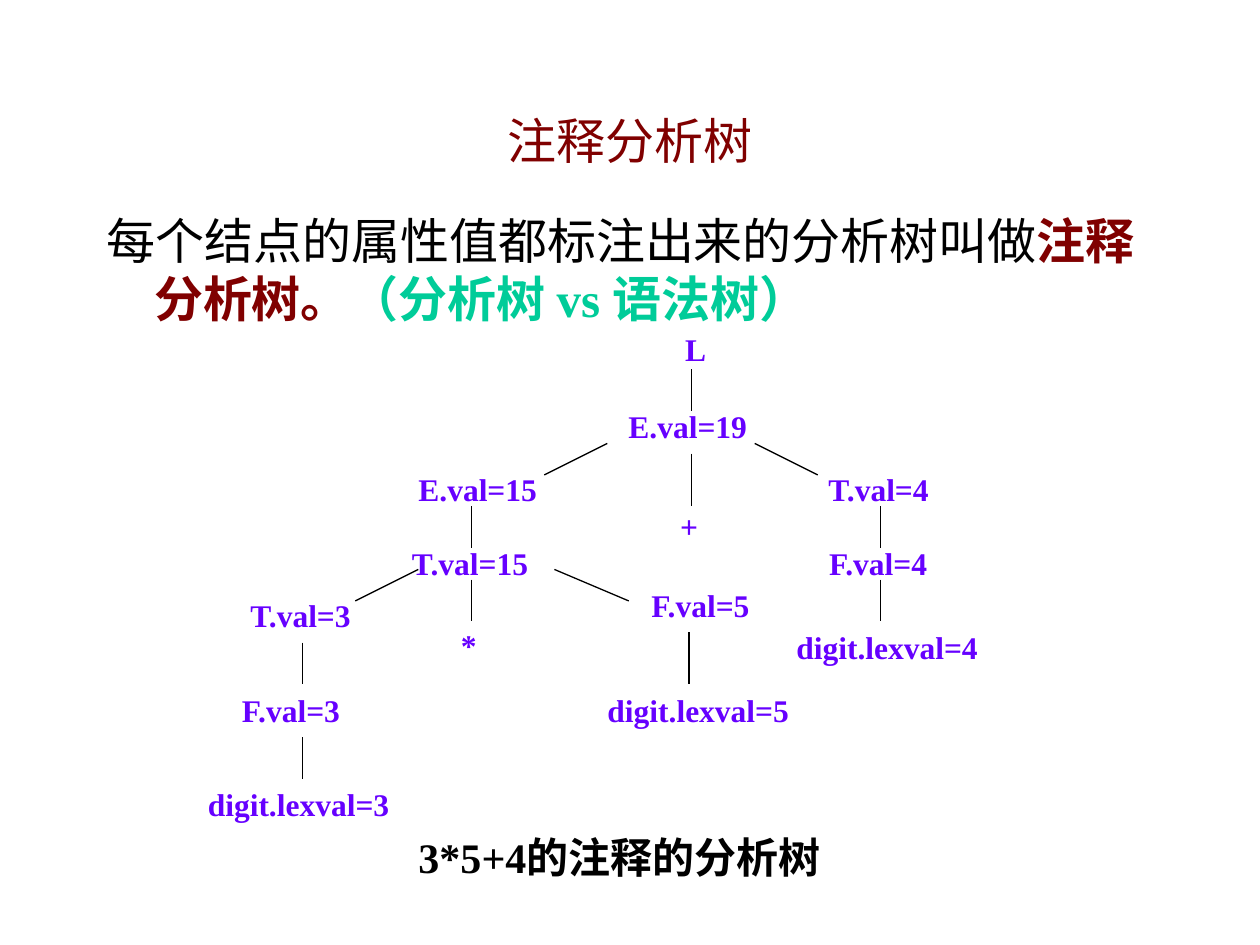
"""Build a slide that shows an annotated parse tree."""
import pptx
import pptx.dml.color
import pptx.enum.shapes
import pptx.enum.text
import pptx.oxml.ns
import pptx.util

Pt = pptx.util.Pt
ALIGN = pptx.enum.text.PP_ALIGN
ANCHOR = pptx.enum.text.MSO_ANCHOR
AUTO = pptx.enum.text.MSO_AUTO_SIZE
FONT = "Times New Roman"
COLORS = {"black": "000000", "maroon": "800000", "green": "00CC99", "violet": "6600FF"}
NODE_H = 29

NODES = [
    ("L", 287.4, 0, 26),
    ("E.val=19", 283, 44, 82),
    ("E.val=15", 163, 80, 82),
    ("T.val=4", 392, 80, 73),
    ("+", 283.8, 101, 24.5),
    ("T.val=15", 158.6, 122.4, 82),
    ("F.val=4", 391.8, 122.4, 72),
    ("F.val=5", 290.3, 146, 72),
    ("T.val=3", 61.7, 152, 73),
    ("*", 157.8, 169, 23),
    ("digit.lexval=4", 396.9, 170, 118),
    ("F.val=3", 56.3, 206, 72),
    ("digit.lexval=5", 289, 206, 118),
    ("digit.lexval=3", 60.6, 260, 118),
]

BRANCHES = [
    (285.3, 26, 285.3, 50),
    (237, 68.4, 201, 86.4),
    (285.3, 74.2, 285.3, 104.4),
    (321.3, 68.4, 357.3, 86.4),
    (159.3, 104.4, 159.3, 128.2),
    (393.3, 104.4, 393.3, 128.2),
    (129, 140.4, 93, 158.4),
    (159.3, 146.2, 159.3, 170),
    (206.8, 140.4, 249.3, 158.4),
    (393.3, 146.2, 393.3, 170),
    (283.8, 176.4, 283.8, 206),
    (62.8, 182.2, 62.8, 206),
    (62.8, 236.2, 62.8, 260),
]


def rgb(name):
    """Return the named palette colour."""
    return pptx.dml.color.RGBColor.from_string(COLORS[name])


def format_run(r, size, color, bold=False):
    """Set the font of a run."""
    r.font.name = FONT
    r.font.size = Pt(size)
    r.font.bold = bold
    r.font.color.rgb = rgb(color)


def add_label(slide, box, text, size, color, wrap):
    """Add a centred bold label that fills the box."""
    sp = slide.shapes.add_textbox(*map(Pt, box))
    tf = sp.text_frame
    tf.text = text
    tf.word_wrap = wrap
    tf.auto_size = AUTO.SHAPE_TO_FIT_TEXT
    tf.vertical_anchor = ANCHOR.MIDDLE
    p = tf.paragraphs[0]
    p.alignment = ALIGN.CENTER
    format_run(p.runs[0], size, color, bold=True)


def add_branch(slide, x1, y1, x2, y2):
    """Add a thin straight branch between two points."""
    line = slide.shapes.add_connector(
        pptx.enum.shapes.MSO_CONNECTOR.STRAIGHT, Pt(x1), Pt(y1), Pt(x2), Pt(y2))
    line.line.color.rgb = rgb("black")
    line.line.width = Pt(0.75)
    effects = pptx.oxml.ns.qn("a:effectLst")
    line._element.spPr.append(line._element.makeelement(effects, {}))


def set_title(slide, box, text):
    """Move and format the title placeholder."""
    sp = slide.shapes.title
    sp.left, sp.top, sp.width, sp.height = map(Pt, box)
    tf = sp.text_frame
    tf.text = text
    tf.vertical_anchor = ANCHOR.MIDDLE
    p = tf.paragraphs[0]
    p.alignment = ALIGN.CENTER
    format_run(p.runs[0], 28, "maroon")


def add_definition(slide, box, parts):
    """Add the definition with a hanging indent."""
    sp = slide.shapes.add_textbox(*map(Pt, box))
    tf = sp.text_frame
    tf.word_wrap = True
    p = tf.paragraphs[0]
    pPr = p._p.get_or_add_pPr()
    pPr.set("marL", str(Pt(27)))
    pPr.set("indent", str(Pt(-27)))
    for text, color, bold in parts:
        r = p.add_run()
        r.text = text
        format_run(r, 28, color, bold)


def add_tree(slide, left, top):
    """Draw the branches and nodes from the tree's top left corner."""
    for x1, y1, x2, y2 in BRANCHES:
        add_branch(slide, left + x1, top + y1, left + x2, top + y2)
    for text, center, y, width in NODES:
        box = (left + center - width / 2, top + y, width, NODE_H)
        add_label(slide, box, text, 18, "violet", wrap=False)


def main():
    """Build and save the slide."""
    prs = pptx.Presentation()
    prs.slide_width, prs.slide_height = Pt(720), Pt(540)
    slide = prs.slides.add_slide(prs.slide_layouts[5])
    set_title(slide, (54, 48, 612, 63.5), "注释分析树")
    add_definition(slide, (54, 116.5, 612, 391), [
        ("每个结点的属性值都标注出来的分析树叫做", "black", False),
        ("注释分析树。", "maroon", True),
        ("（分析树 vs 语法树）", "green", True),
    ])
    add_tree(slide, 110, 185)
    add_label(slide, (229.5, 457, 249, 65), "3*5+4的注释的分析树", 24, "black", wrap=True)
    prs.save("out.pptx")


if __name__ == "__main__":
    main()
